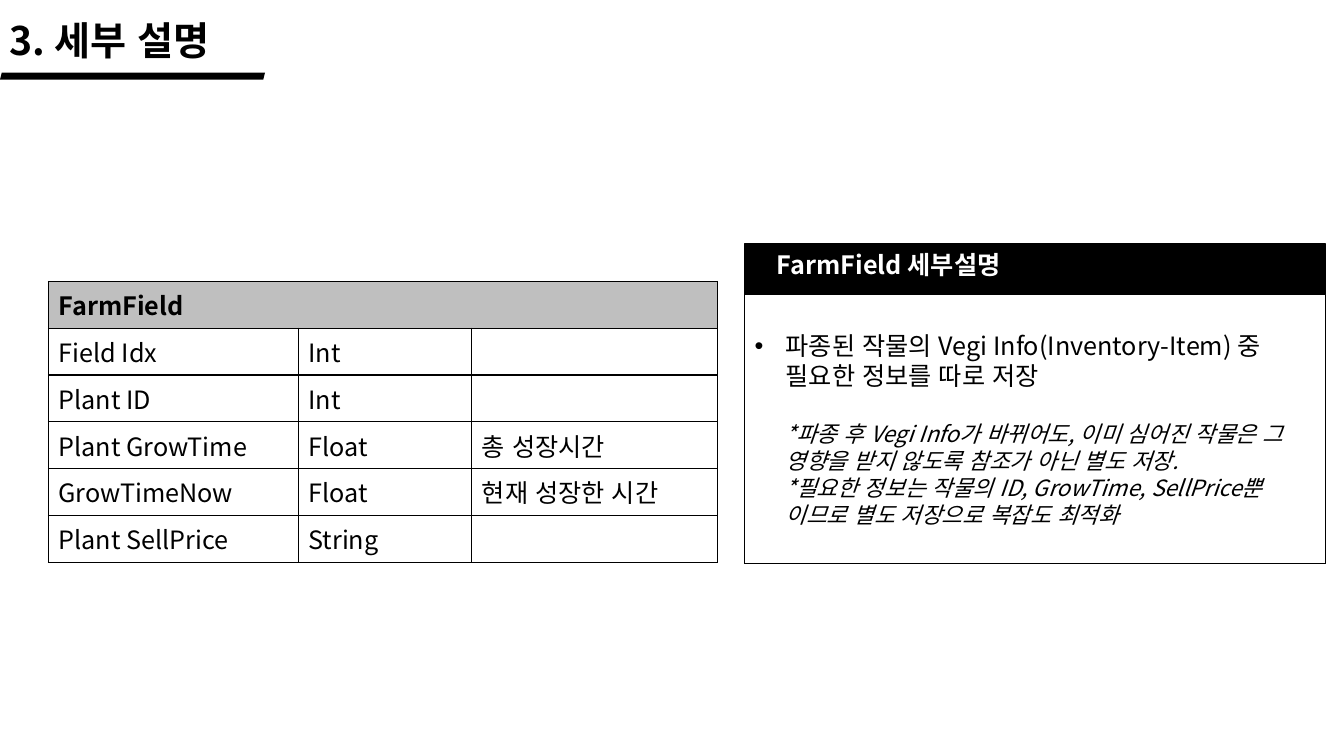
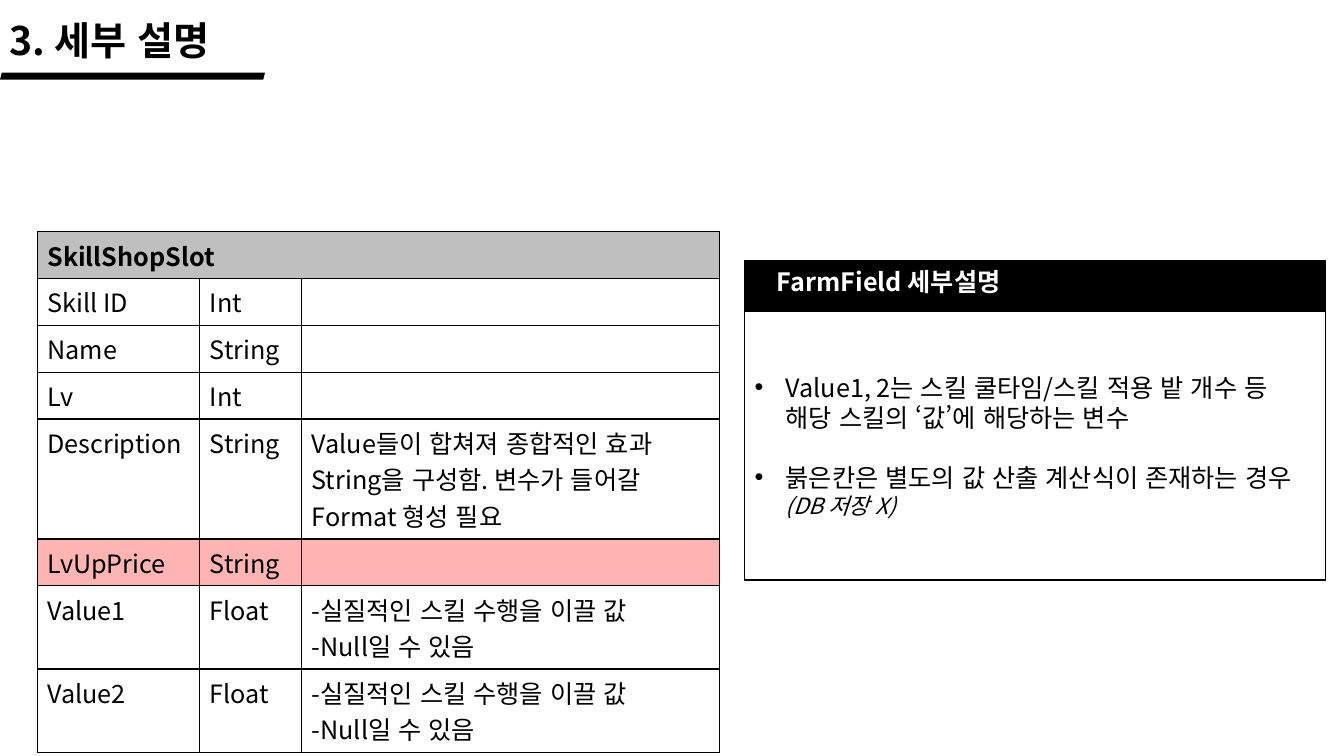
from lxml.etree import SubElement
from pptx import Presentation
from pptx.dml.color import RGBColor
from pptx.enum.lang import MSO_LANGUAGE_ID as LANGUAGE
from pptx.enum.shapes import MSO_SHAPE
from pptx.enum.text import MSO_ANCHOR, PP_ALIGN
from pptx.oxml.ns import qn
from pptx.util import Cm, Pt

BLACK = RGBColor(0x00, 0x00, 0x00)
WHITE = RGBColor(0xFF, 0xFF, 0xFF)
GREY = RGBColor(0xBF, 0xBF, 0xBF)
RED = RGBColor(0xFF, 0xB4, 0xB4)
FONT = "Noto Sans CJK KR"
ROW_PADDING = 0.26
ROW_LINE = 0.92
BAND_HEIGHT = 1.27
HANG = 0.78


def write(para, text, size=18, color=BLACK, bold=False, italic=False):
    """Append formatted text to a paragraph; a newline becomes a line break."""
    for number, line in enumerate(text.split("\n")):
        if number:
            para.add_line_break()
        if not line:
            continue
        span = para.add_run()
        span.text = line
        font = span.font
        font.name, font.size, font.bold, font.italic = FONT, Pt(size), bold, italic
        font.language_id = LANGUAGE.KOREAN
        font.color.rgb = color
        SubElement(font._element, qn("a:ea"), typeface=FONT)


def next_para(frame, first):
    """Return the frame's opening paragraph, or a new one after it."""
    return frame.paragraphs[0] if first else frame.add_paragraph()


def add_label(page, box, text, **style):
    """Add a one-line text box, centred vertically in its box."""
    frame = page.shapes.add_textbox(*map(Cm, box)).text_frame
    frame.word_wrap = True
    frame.vertical_anchor = MSO_ANCHOR.MIDDLE
    write(frame.paragraphs[0], text, **style)


def add_block(page, kind, box, fill, outlined=True):
    """Add a flat filled shape with an optional thin black outline."""
    block = page.shapes.add_shape(kind, *map(Cm, box))
    block.shadow.inherit = False
    block.fill.solid()
    block.fill.fore_color.rgb = fill
    if outlined:
        block.line.color.rgb = BLACK
        block.line.width = Pt(1)
    else:
        block.line.fill.background()
    return block


def add_title(page, text):
    """Add the slide title and the slanted bar beneath it."""
    add_label(page, (0, 0.28, 7.11, 1.45), text, size=28, bold=True)
    add_block(page, MSO_SHAPE.PARALLELOGRAM, (0, 1.83, 6.68, 0.18), BLACK, outlined=False)


def style_cell(cell, fill):
    """Give a cell its borders and fill."""
    properties = cell._tc.get_or_add_tcPr()
    for side in ("a:lnL", "a:lnR", "a:lnT", "a:lnB"):
        border = SubElement(properties, qn(side), w=str(Pt(1)))
        paint = SubElement(border, qn("a:solidFill"))
        SubElement(paint, qn("a:srgbClr"), val=str(BLACK))
    cell.fill.solid()
    cell.fill.fore_color.rgb = fill


def add_field_table(page, left, top, widths, name, fields, red_fields=(), line_counts=()):
    """Add a table of fields (name, type, remark) under a merged heading."""
    rows = [(name, "", ""), *fields]
    counts = dict(line_counts)
    heights = [
        ROW_PADDING + ROW_LINE * counts.get(row[0], row[2].count("\n") + 1) for row in rows
    ]
    size = map(Cm, (left, top, sum(widths), sum(heights)))
    table = page.shapes.add_table(len(rows), len(widths), *size).table
    table.first_row = table.horz_banding = False
    for column, width in zip(table.columns, widths):
        column.width = Cm(width)
    for row_number, (row, height) in enumerate(zip(rows, heights)):
        table.rows[row_number].height = Cm(height)
        heading = row_number == 0
        fill = GREY if heading else RED if row[0] in red_fields else WHITE
        for column_number, text in enumerate(row):
            cell = table.cell(row_number, column_number)
            style_cell(cell, fill)
            for number, line in enumerate(text.split("\n")):
                write(next_para(cell.text_frame, number == 0), line, bold=heading)
    table.cell(0, 0).merge(table.cell(0, len(widths) - 1))


def add_note_panel(page, box, heading, notes):
    """Add a black-headed panel; each note is (bulleted, space before, spans)."""
    left, top, width, height = box
    add_block(page, MSO_SHAPE.RECTANGLE, box, BLACK)
    body_box = (left, top + BAND_HEIGHT, width, height - BAND_HEIGHT)
    frame = add_block(page, MSO_SHAPE.RECTANGLE, body_box, WHITE).text_frame
    frame.word_wrap = True
    frame.vertical_anchor = MSO_ANCHOR.MIDDLE
    for number, (bulleted, gap, spans) in enumerate(notes):
        para = next_para(frame, number == 0)
        para.alignment = PP_ALIGN.LEFT
        para.space_before = Pt(gap)
        properties = para._p.get_or_add_pPr()
        properties.set("marL", str(Cm(HANG)))
        if bulleted:
            properties.set("indent", str(-Cm(HANG)))
            SubElement(properties, qn("a:buFont"), typeface="Arial")
            SubElement(properties, qn("a:buChar"), char="•")
        for text, style in spans:
            write(para, text, **style)
    add_label(page, (left + 0.56, top, width - 1.17, 1.02), heading, color=WHITE, bold=True)


def add_detail_page(deck, table, panel):
    """Add a slide with the shared title, a field table and a note panel."""
    page = deck.slides.add_slide(deck.slide_layouts[6])
    add_field_table(page, **table)
    add_note_panel(page, **panel)
    add_title(page, "3. 세부 설명")


PLAIN = {}
ASIDE = {"size": 16, "italic": True}
VALUE_REMARK = "-실질적인 스킬 수행을 이끌 값\n-Null일 수 있음"
PANEL_HEADING = "FarmField 세부설명"

deck = Presentation()
deck.slide_width, deck.slide_height = Cm(33.87), Cm(19.05)

add_detail_page(
    deck,
    table=dict(
        left=1.22, top=7.09, widths=(6.3, 4.37, 6.2), name="FarmField",
        fields=[
            ("Field Idx", "Int", ""),
            ("Plant ID", "Int", ""),
            ("Plant GrowTime", "Float", "총 성장시간"),
            ("GrowTimeNow", "Float", "현재 성장한 시간"),
            ("Plant SellPrice", "String", ""),
        ],
    ),
    panel=dict(
        box=(18.77, 6.15, 14.64, 8.05), heading=PANEL_HEADING,
        notes=[
            (True, 0, [("파종된 작물의 Vegi Info(Inventory-Item) 중\n필요한 정보를 따로 저장", PLAIN)]),
            (False, 21, [(
                "*파종 후 Vegi Info가 바뀌어도, 이미 심어진 작물은 그 영향을 받지 않도록 "
                "참조가 아닌 별도 저장.\n*필요한 정보는 작물의 ID, GrowTime, SellPrice뿐\n"
                "이므로 별도 저장으로 복잡도 최적화", ASIDE)]),
        ],
    ),
)

add_detail_page(
    deck,
    table=dict(
        left=0.94, top=5.84, widths=(4.09, 2.57, 10.54), name="SkillShopSlot",
        fields=[
            ("Skill ID", "Int", ""),
            ("Name", "String", ""),
            ("Lv", "Int", ""),
            ("Description", "String",
             "Value들이 합쳐져 종합적인 효과 String을 구성함. 변수가 들어갈 Format 형성 필요"),
            ("LvUpPrice", "String", ""),
            ("Value1", "Float", VALUE_REMARK),
            ("Value2", "Float", VALUE_REMARK),
        ],
        red_fields=("LvUpPrice",),
        line_counts={"Description": 3},
    ),
    panel=dict(
        box=(18.77, 6.57, 14.64, 8.05), heading=PANEL_HEADING,
        notes=[
            (True, 0, [("Value1, 2는 스킬 쿨타임/스킬 적용 밭 개수 등 해당 스킬의 ‘값’에 해당하는 변수", PLAIN)]),
            (True, 21, [("붉은칸은 별도의 값 산출 계산식이 존재하는 경우\n", PLAIN), ("(DB 저장 X)", ASIDE)]),
        ],
    ),
)

deck.save("out.pptx")
